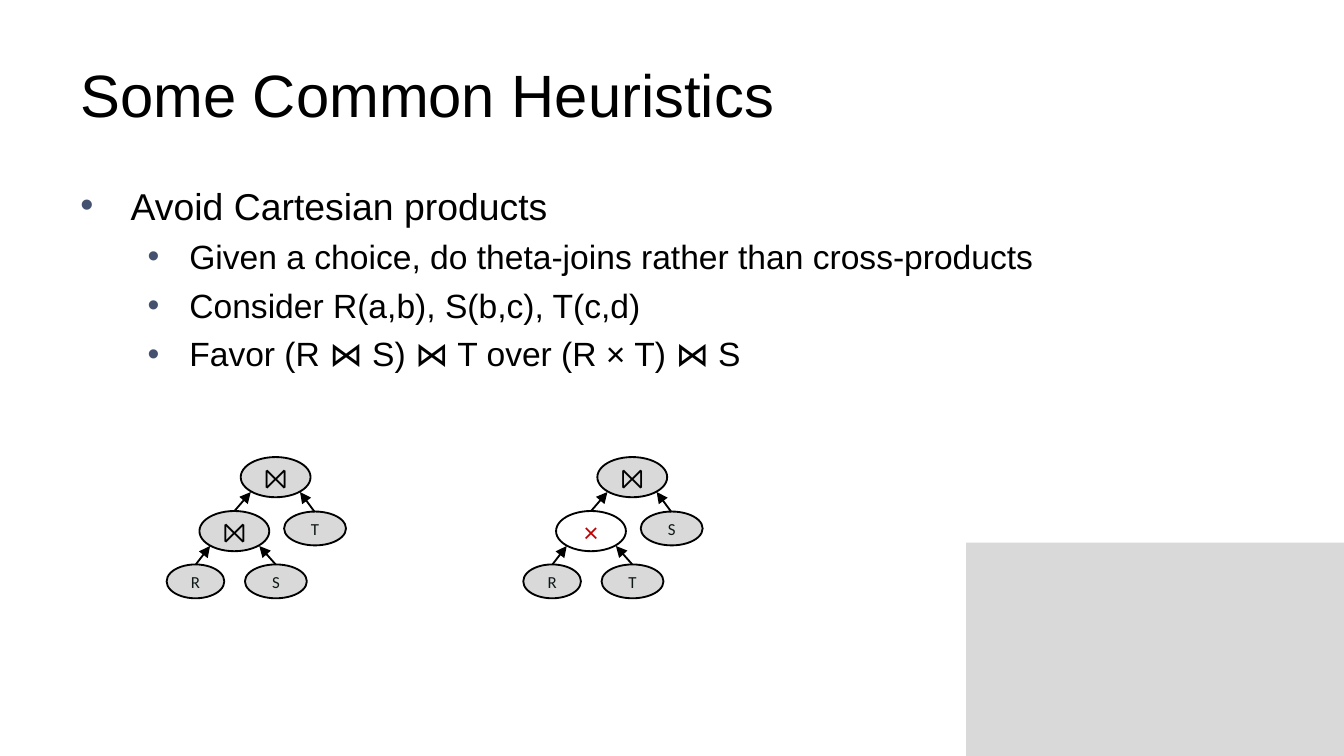
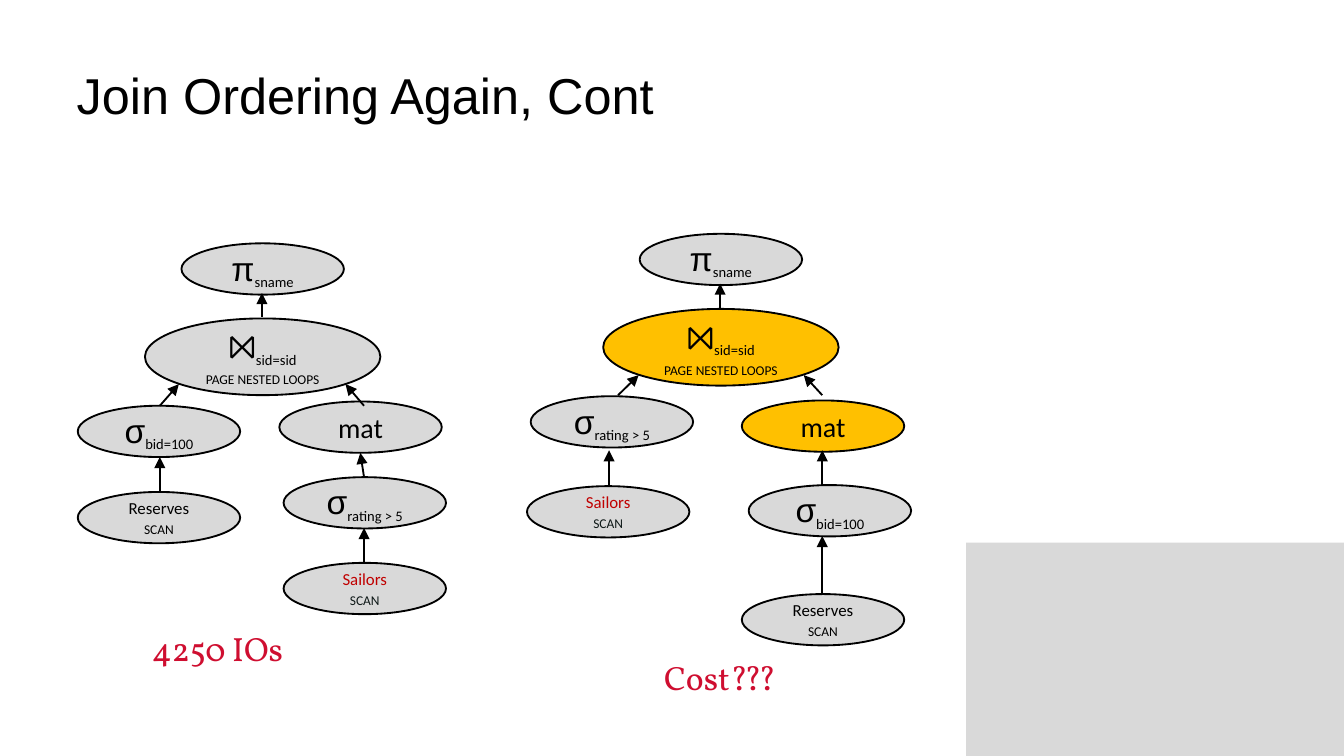
"""Build two slides on query plan heuristics and join ordering."""
import dataclasses
import typing

import lxml.etree
import pptx
import pptx.dml.color
import pptx.enum.shapes
import pptx.enum.text
import pptx.oxml.ns
import pptx.util

Cm = pptx.util.Cm
Pt = pptx.util.Pt
qn = pptx.oxml.ns.qn
ALIGN = pptx.enum.text.PP_ALIGN
ANCHOR = pptx.enum.text.MSO_ANCHOR
SHAPE = pptx.enum.shapes.MSO_SHAPE

HUES = {
    "black": "000000",
    "ink": "0E1817",
    "grey": "D9D9D9",
    "white": "FFFFFF",
    "gold": "FFC000",
    "red": "C00000",
    "rose": "CF0E30",
    "dot": "44516F",
}


@dataclasses.dataclass(frozen=True)
class Run:
    text: str
    size: float = 9
    font: str = "Calibri"
    hue: str = "black"
    sub: bool = False
    small: bool = False
    feed: bool = False


Lines = tuple[tuple[Run, ...], ...]


@dataclasses.dataclass(frozen=True)
class Node:
    left: float
    top: float
    lines: Lines
    wide: float = 3.07
    high: float = 0.97
    fill: str = "grey"


class Edge(typing.NamedTuple):
    x1: float
    y1: float
    x2: float
    y2: float


class Tree(typing.NamedTuple):
    nodes: list[Node]
    edges: list[Edge]


def rgb(hue: str) -> pptx.dml.color.RGBColor:
    return pptx.dml.color.RGBColor.from_string(HUES[hue])


def put(para, text: str, *, size: float, font: str = "Arial", hue: str = "black",
        sub: bool = False, small: bool = False, feed: bool = False) -> None:
    if feed:
        para.add_line_break()
    run = para.add_run()
    run.text = text
    run.font.size = Pt(size)
    run.font.name = font
    run.font.color.rgb = rgb(hue)
    props = run._r.get_or_add_rPr()
    if sub:
        props.set("baseline", "-25000")
    if small:
        props.set("cap", "small")


def inset(frame, side: float, edge: float) -> None:
    frame.margin_left = frame.margin_right = Cm(side)
    frame.margin_top = frame.margin_bottom = Cm(edge)


def block(shapes, kind, left: float, top: float, wide: float, high: float, fill: str):
    shape = shapes.add_shape(kind, Cm(left), Cm(top), Cm(wide), Cm(high))
    shape.shadow.inherit = False
    shape.fill.solid()
    shape.fill.fore_color.rgb = rgb(fill)
    return shape


def box(slide, left: float, top: float, wide: float, high: float, wrap: bool = True):
    frame = slide.shapes.add_textbox(Cm(left), Cm(top), Cm(wide), Cm(high)).text_frame
    frame.word_wrap = wrap
    return frame


def start(deck, title: str, size: float, side: float = 0.25, edge: float = 0.13):
    slide = deck.slides.add_slide(deck.slide_layouts[6])
    block(slide.shapes, SHAPE.RECTANGLE, 18.26, 10.26, 7.14, 4.03, "grey").line.fill.background()
    frame = box(slide, 1.27, 0.58, 22.86, 2.39)
    frame.vertical_anchor = ANCHOR.MIDDLE
    inset(frame, side, edge)
    put(frame.paragraphs[0], title, size=size)
    return slide


def point(para, text: str, level: int) -> None:
    size, left, hang, gap = ((20, 0.95, 0.95, 2), (18, 2.06, 0.79, 4.5))[level]
    para.level = level
    para.space_before = Pt(gap)
    props = para._p.get_or_add_pPr()
    props.set("marL", str(Cm(left)))
    props.set("indent", str(-Cm(hang)))
    tint = lxml.etree.SubElement(props, qn("a:buClr"))
    lxml.etree.SubElement(tint, qn("a:srgbClr"), val=HUES["dot"])
    lxml.etree.SubElement(props, qn("a:buFont"), typeface="Arial")
    lxml.etree.SubElement(props, qn("a:buChar"), char="•")
    put(para, text, size=size)


def oval(shapes, node: Node, dx: float, dy: float) -> None:
    shape = block(shapes, SHAPE.OVAL, node.left + dx, node.top + dy,
                  node.wide, node.high, node.fill)
    shape.line.color.rgb = rgb("black")
    shape.line.width = Pt(1)
    frame = shape.text_frame
    frame.word_wrap = True
    frame.vertical_anchor = ANCHOR.MIDDLE
    inset(frame, 0.18, 0.1)
    for num, line in enumerate(node.lines):
        para = frame.add_paragraph() if num else frame.paragraphs[0]
        para.alignment = ALIGN.CENTER
        for run in line:
            put(para, **dataclasses.asdict(run))


def arrow(shapes, edge: Edge, dx: float, dy: float) -> None:
    link = shapes.add_connector(
        pptx.enum.shapes.MSO_CONNECTOR.STRAIGHT,
        Cm(edge.x1 + dx), Cm(edge.y1 + dy), Cm(edge.x2 + dx), Cm(edge.y2 + dy))
    link.line.color.rgb = rgb("black")
    link.line.width = Pt(1)
    lxml.etree.SubElement(link.line._get_or_add_ln(), qn("a:tailEnd"), type="triangle")
    lxml.etree.SubElement(link._element.spPr, qn("a:effectLst"))


def draw(shapes, tree: Tree, dx: float = 0, dy: float = 0) -> None:
    for node in tree.nodes:
        oval(shapes, node, dx, dy)
    for edge in tree.edges:
        arrow(shapes, edge, dx, dy)


def sign(mark: str, note: str) -> Lines:
    return ((Run(mark, 18, "Arial"), Run(note, 13.5, sub=True)),)


def scan(name: str, hue: str = "black", tone: str = "black") -> Lines:
    return ((Run(name, hue=hue),), (Run("scan", hue=tone, small=True),))


def leaf(name: str) -> Lines:
    return ((Run(name, hue="ink"),),)


BOWTIE: Lines = ((Run("⨝", 15, "Arial"),),)
CROSS: Lines = ((Run("×", 15, hue="red"),),)
NAME = sign("π", "sname")
BID = sign("σ", "bid=100")
RATE = sign("σ", "rating > 5")
LOOPS: Lines = (sign("⨝", "sid=sid")[0] + (Run("page nested loops", small=True, feed=True),),)
MAT: Lines = ((Run("mat", 15),),)
BOATS = scan("Reserves")
CREW = scan("Sailors", "red", "ink")

POINTS = [
    ("Avoid Cartesian products", 0),
    ("Given a choice, do theta-joins rather than cross-products", 1),
    ("Consider R(a,b), S(b,c), T(c,d)", 1),
    ("Favor (R ⋈ S) ⋈ T over (R × T) ⋈ S", 1),
]


def sketch(inner: Lines, fill: str, right: str, mate: str) -> Tree:
    return Tree(
        [
            Node(1.4, 0, BOWTIE, 1.32, 0.76),
            Node(2.22, 1.03, leaf(right), 1.17, 0.64),
            Node(0.62, 1.02, inner, 1.32, 0.76, fill),
            Node(0, 2.03, leaf("R"), 1.09, 0.64),
            Node(1.48, 2.03, leaf(mate), 1.17, 0.64),
        ],
        [
            Edge(0.55, 2.03, 0.82, 1.68),
            Edge(2.06, 2.03, 1.75, 1.68),
            Edge(1.28, 1.02, 1.59, 0.66),
            Edge(2.8, 1.04, 2.52, 0.66),
        ],
    )


PLANS = [
    Tree(
        [
            Node(10.03, 7.49, RATE),
            Node(9.96, 9.19, CREW),
            Node(14.02, 11.23, BOATS),
            Node(14.15, 9.17, BID),
            Node(12.09, 4.42, NAME),
            Node(11.4, 5.84, LOOPS, 4.45, 1.45, "gold"),
            Node(14.02, 7.57, MAT, fill="gold"),
        ],
        [
            Edge(15.54, 11.23, 15.54, 10.13),
            Edge(11.51, 9.17, 11.51, 8.51),
            Edge(15.54, 7.47, 15.19, 7.09),
            Edge(11.68, 7.47, 12.07, 7.09),
            Edge(13.61, 5.82, 13.61, 5.36),
            Edge(15.54, 9.17, 15.54, 8.51),
        ],
    ),
    Tree(
        [
            Node(5.28, 7.59, MAT),
            Node(5.36, 9.02, RATE),
            Node(1.47, 9.3, BOATS),
            Node(3.43, 4.6, NAME),
            Node(1.47, 7.67, BID),
            Node(2.74, 6.02, LOOPS, 4.45, 1.45),
            Node(5.36, 10.64, CREW),
        ],
        [
            Edge(6.88, 9.02, 6.81, 8.56),
            Edge(3.02, 9.3, 3.02, 8.64),
            Edge(6.88, 10.64, 6.88, 9.98),
            Edge(6.88, 7.67, 6.53, 7.26),
            Edge(3.02, 7.67, 3.38, 7.26),
            Edge(4.95, 5.99, 4.95, 5.54),
        ],
    ),
]


def rules(deck) -> None:
    slide = start(deck, "Some Common Heuristics", 32)
    frame = box(slide, 1.27, 3.33, 22.86, 9.42)
    for num, (text, level) in enumerate(POINTS):
        point(frame.add_paragraph() if num else frame.paragraphs[0], text, level)
    for left, tree in ((9.89, sketch(CROSS, "white", "S", "T")),
                       (3.15, sketch(BOWTIE, "grey", "T", "S"))):
        draw(slide.shapes.add_group_shape().shapes, tree, left, 8.64)


def joins(deck) -> None:
    slide = start(deck, "Join Ordering Again, Cont", 27, 0.18, 0.1)
    for tree in PLANS:
        draw(slide.shapes, tree)
    for text, left, top in (("Cost???", 11.63, 12.32), ("4250 IOs", 2.13, 11.76)):
        frame = box(slide, left, top, 3.96, 0.97, wrap=False)
        frame.vertical_anchor = ANCHOR.MIDDLE
        frame.paragraphs[0].alignment = ALIGN.CENTER
        put(frame.paragraphs[0], text, size=18, font="Vollkorn", hue="rose")


def main() -> None:
    deck = pptx.Presentation()
    deck.slide_width = Cm(25.4)
    deck.slide_height = Cm(14.29)
    rules(deck)
    joins(deck)
    deck.save("out.pptx")


if __name__ == "__main__":
    main()
